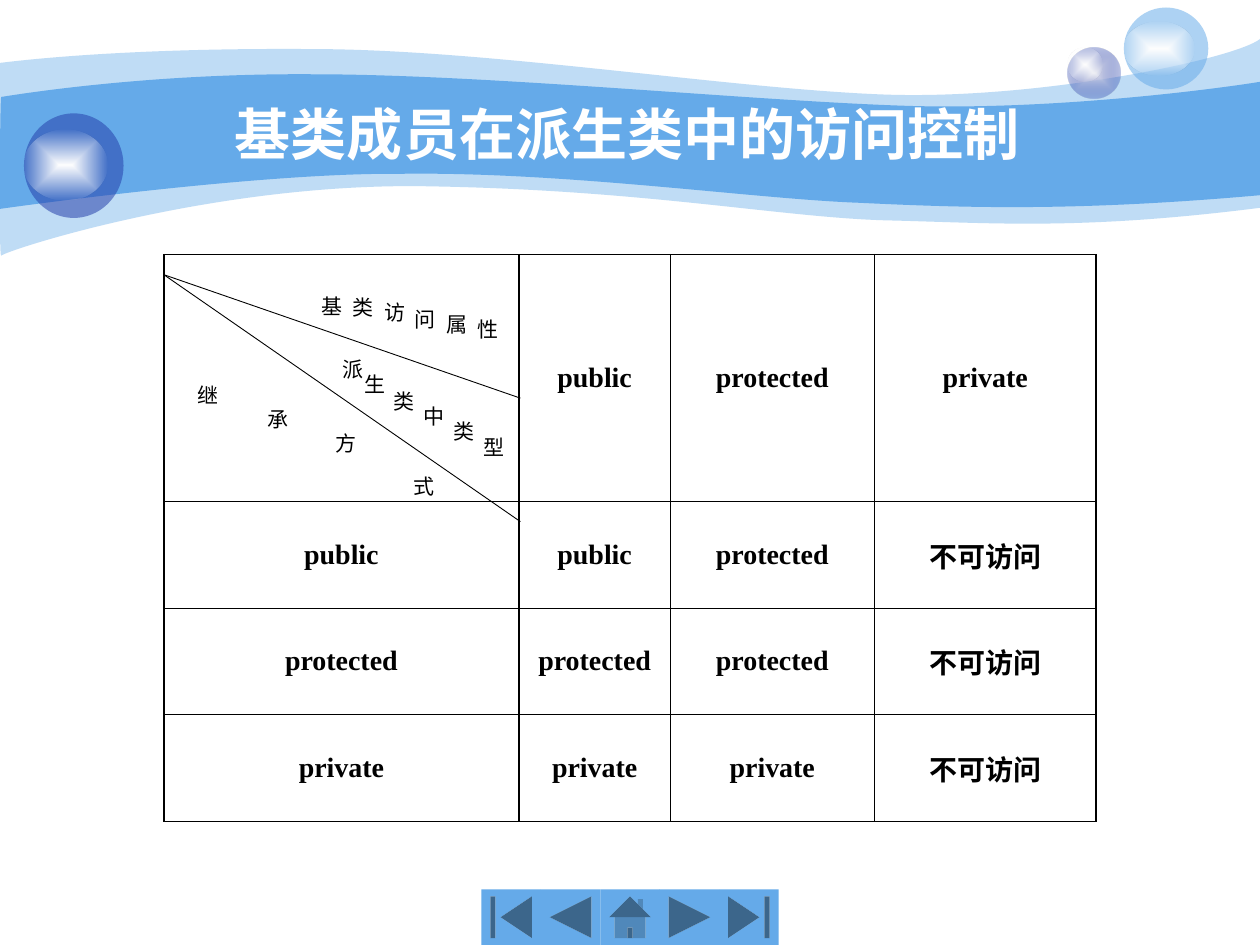
from lxml import etree
from pptx import Presentation
from pptx.dml.color import RGBColor
from pptx.enum.shapes import MSO_CONNECTOR, MSO_SHAPE
from pptx.enum.text import MSO_ANCHOR, PP_ALIGN
from pptx.oxml.ns import qn
from pptx.util import Inches, Pt

STRAIGHT = MSO_CONNECTOR.STRAIGHT
OVAL = MSO_SHAPE.OVAL
BUTTONS = (
    MSO_SHAPE.ACTION_BUTTON_BEGINNING,
    MSO_SHAPE.ACTION_BUTTON_BACK_OR_PREVIOUS,
    MSO_SHAPE.ACTION_BUTTON_HOME,
    MSO_SHAPE.ACTION_BUTTON_FORWARD_OR_NEXT,
    MSO_SHAPE.ACTION_BUTTON_END,
)
CENTER, LEFT = PP_ALIGN.CENTER, PP_ALIGN.LEFT
MIDDLE, TOP = MSO_ANCHOR.MIDDLE, MSO_ANCHOR.TOP

SKY, NAVY, WHITE, BLACK = "65AAE9", "233DA9", "FFFFFF", "000000"
TITLE_FONT = {"name": "Arial", "size": Pt(32), "bold": True}
CELL_FONT = {"name": "Times New Roman", "size": Pt(16), "bold": True}
LABEL_FONT = {"name": "Times New Roman", "size": Pt(12), "bold": False}

PALE_BAND = [
    (0, 0.5), (0.24, 0.47), (1.07, 0.38), (2.47, 0.39),
    (3.86, 0.39), (5.75, 0.7), (6.99, 0.75), (8.22, 0.8), (9.8, 0.47), (10, 0.31),
    (10, 0.76), (10, 1.2), (10, 1.65), (8.58, 1.83), (7.88, 1.77), (7.05, 1.75),
    (6.22, 1.73), (5.15, 1.51), (3.43, 1.48), (1.72, 1.44), (0.04, 1.99), (0.01, 2.03),
    (-0.01, 2.08), (0, 0.75), (0, 0.5),
]
DEEP_BAND = [
    (0.01, 0.77), (0.02, 0.77), (1.1, 0.58), (2.48, 0.59),
    (3.86, 0.59), (5.95, 0.8), (7.18, 0.84), (8.41, 0.88), (9.76, 0.69), (10, 0.65),
    (10, 0.95), (10, 1.25), (10, 1.55), (8.53, 1.68), (7.65, 1.65), (6.82, 1.61),
    (5.99, 1.58), (4.47, 1.36), (3.17, 1.38), (2.03, 1.37), (-0.02, 1.66), (-0.01, 1.66),
    (0, 1.66), (0, 0.77), (0.01, 0.77),
]
COLUMN_WIDTHS = (2.82, 1.2, 1.62, 1.76)
ROW_HEIGHTS = (1.96, 0.85, 0.84, 0.85)
ACCESS_ROWS = (
    ("", "public", "protected", "private"),
    ("public", "public", "protected", "不可访问"),
    ("protected", "protected", "protected", "不可访问"),
    ("private", "private", "private", "不可访问"),
)
DIAGONAL_LABELS = (
    ("基", 1.25, 0.31), ("类", 1.5, 0.32), ("访", 1.75, 0.36),
    ("问", 1.99, 0.41), ("属", 2.24, 0.45), ("性", 2.49, 0.49),
    ("派", 1.42, 0.81), ("生", 1.59, 0.93), ("类", 1.82, 1.06),
    ("中", 2.06, 1.18), ("类", 2.3, 1.3), ("型", 2.54, 1.43),
    ("继", 0.27, 1.02), ("承", 0.82, 1.21), ("方", 1.36, 1.4), ("式", 1.98, 1.74),
)


def rgb(value):
    """Turn a hex string into a colour."""
    return RGBColor.from_string(value)


def set_alpha(parent, percent):
    """Give the colour inside an element an opacity."""
    color = parent.find(".//" + qn("a:srgbClr"))
    etree.SubElement(color, qn("a:alpha"), val=str(percent * 1000))


def paint(shape, color, opacity=100):
    """Give a shape a flat fill without outline or shadow."""
    shape.shadow.inherit = False
    shape.line.fill.background()
    shape.fill.solid()
    shape.fill.fore_color.rgb = rgb(color)
    if opacity < 100:
        set_alpha(shape._element.spPr, opacity)


def paint_glow(shape, inner, outer, opacity):
    """Give a shape a gradient from its middle to a see-through edge."""
    shape.shadow.inherit = False
    shape.line.fill.background()
    shape.fill.gradient()
    for stop, color in zip(shape.fill.gradient_stops, (inner, outer)):
        stop.color.rgb = rgb(color)
    gradient = shape._element.spPr.find(qn("a:gradFill"))
    set_alpha(gradient.find(qn("a:gsLst"))[1], opacity)
    gradient.remove(gradient.find(qn("a:lin")))
    spread = etree.SubElement(gradient, qn("a:path"), path="shape")
    etree.SubElement(spread, qn("a:fillToRect"), l="50000", t="50000", r="50000", b="50000")


def write(frame, text, font, color, align, anchor):
    """Write one formatted paragraph into a text frame."""
    frame.vertical_anchor = anchor
    paragraph = frame.paragraphs[0]
    paragraph.alignment = align
    run = paragraph.add_run()
    run.text = text
    for key, value in font.items():
        setattr(run.font, key, value)
    run.font.color.rgb = rgb(color)


def add_band(slide, points, opacity):
    """Draw a closed band whose points run in cubic curves."""
    start, *rest = [(Inches(x), Inches(y)) for x, y in points]
    builder = slide.shapes.build_freeform(*start)
    builder.add_line_segments(rest, close=True)
    band = builder.convert_to_shape()
    segments = list(band._element.iter(qn("a:lnTo")))
    for first in range(0, len(segments), 3):
        curve = etree.Element(qn("a:cubicBezTo"))
        segments[first].addprevious(curve)
        for segment in segments[first:first + 3]:
            curve.append(segment[0])
            segment.getparent().remove(segment)
    paint(band, SKY, opacity)


def add_bubble(slide, box, shine_box, color, opacity, center=None):
    """Draw a bubble with a highlight on it."""
    shapes = slide.shapes.add_group_shape().shapes
    ball = shapes.add_shape(OVAL, *map(Inches, box))
    if center:
        paint_glow(ball, center, color, opacity)
    else:
        paint(ball, color, opacity)
    shine = shapes.add_shape(OVAL, *map(Inches, shine_box))
    paint_glow(shine, WHITE, WHITE, 0)


def add_navigation(slide, left, top, width, height):
    """Place the navigation buttons side by side in a box."""
    step = width / len(BUTTONS)
    for index, kind in enumerate(BUTTONS):
        button = slide.shapes.add_shape(
            kind, Inches(left + index * step), Inches(top), Inches(step), Inches(height))
        paint(button, SKY)


def place_title(slide, left, top, width, height):
    """Move the title into its box in front of the bands."""
    title = slide.shapes.title
    title.left, title.top = Inches(left), Inches(top)
    title.width, title.height = Inches(width), Inches(height)
    write(title.text_frame, "基类成员在派生类中的访问控制", TITLE_FONT, WHITE, CENTER, MIDDLE)
    slide.shapes._spTree.append(title._element)


def add_borders(cell):
    """Draw a thin black border on each side of a cell."""
    properties = cell._tc.get_or_add_tcPr()
    for index, side in enumerate(("a:lnL", "a:lnR", "a:lnT", "a:lnB")):
        border = etree.Element(qn(side), w=str(Pt(1)))
        fill = etree.SubElement(border, qn("a:solidFill"))
        etree.SubElement(fill, qn("a:srgbClr"), val=BLACK)
        properties.insert(index, border)


def add_access_table(slide, left, top):
    """Build the table of access rights."""
    table = slide.shapes.add_table(
        len(ROW_HEIGHTS), len(COLUMN_WIDTHS), Inches(left), Inches(top),
        Inches(sum(COLUMN_WIDTHS)), Inches(sum(ROW_HEIGHTS))).table
    table.first_row = table.horz_banding = False
    for column, width in zip(table.columns, COLUMN_WIDTHS):
        column.width = Inches(width)
    for row, height, texts in zip(table.rows, ROW_HEIGHTS, ACCESS_ROWS):
        row.height = Inches(height)
        for cell, text in zip(row.cells, texts):
            cell.fill.background()
            add_borders(cell)
            cell.vertical_anchor = MIDDLE
            if text:
                write(cell.text_frame, text, CELL_FONT, BLACK, CENTER, MIDDLE)


def add_diagonal_header(slide, left, top):
    """Split the corner cell with two diagonals and set its slanted labels."""
    shapes = slide.shapes.add_group_shape().shapes
    for drop in (0.98, 1.96):
        diagonal = shapes.add_connector(
            STRAIGHT, Inches(left), Inches(top + 0.16),
            Inches(left + 2.83), Inches(top + 0.16 + drop))
        diagonal.line.color.rgb = rgb(BLACK)
        diagonal.line.width = Pt(0.5)
        etree.SubElement(diagonal._element.spPr, qn("a:effectLst"))
    for character, x, y in DIAGONAL_LABELS:
        label = shapes.add_textbox(
            Inches(left + x), Inches(top + y), Inches(0.22), Inches(0.34))
        frame = label.text_frame
        frame.word_wrap = True
        for side in ("left", "top", "right", "bottom"):
            setattr(frame, "margin_" + side, 0)
        write(frame, character, LABEL_FONT, BLACK, LEFT, TOP)


def main():
    """Build and save the slide."""
    deck = Presentation()
    deck.slide_width, deck.slide_height = Inches(10), Inches(7.5)
    slide = deck.slides.add_slide(deck.slide_layouts[5])
    add_band(slide, PALE_BAND, 41)
    add_band(slide, DEEP_BAND, 100)
    add_bubble(slide, (8.47, 0.38, 0.42, 0.4), (8.47, 0.38, 0.28, 0.27), NAVY, 31, "E1E2ED")
    add_bubble(slide, (8.92, 0.06, 0.67, 0.65), (8.92, 0.17, 0.56, 0.43), SKY, 53)
    add_bubble(slide, (0.19, 0.9, 0.79, 0.83), (0.19, 1.03, 0.66, 0.56), NAVY, 53)
    add_navigation(slide, 3.82, 7.06, 2.36, 0.44)
    place_title(slide, 0.94, 0.75, 8.08, 0.62)
    add_access_table(slide, 1.3, 2.02)
    add_diagonal_header(slide, 1.3, 2.02)
    deck.save("out.pptx")


if __name__ == "__main__":
    main()
